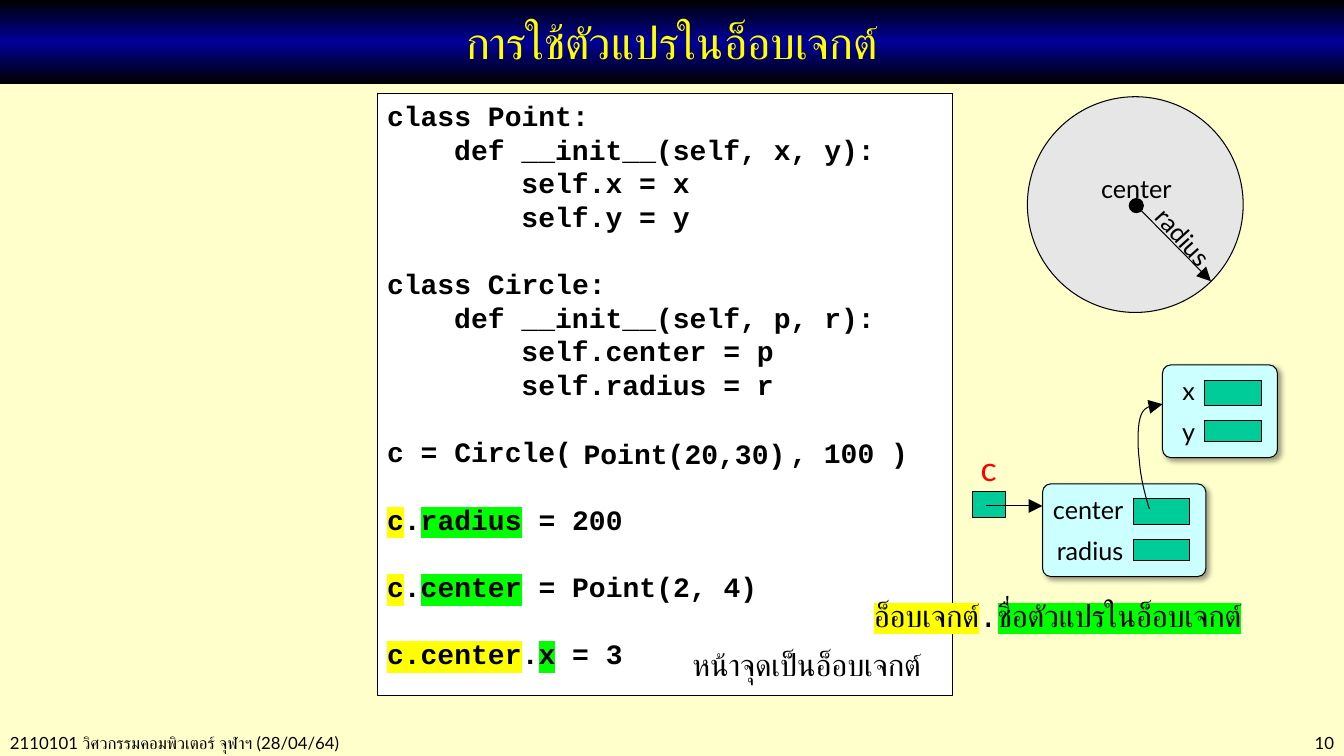
"""Build a slide on using variables inside Python objects."""
from dataclasses import dataclass
from typing import Optional

from lxml.etree import SubElement
from pptx import Presentation
from pptx.dml.color import RGBColor
from pptx.enum.shapes import MSO_CONNECTOR, MSO_SHAPE
from pptx.enum.text import MSO_ANCHOR, PP_ALIGN
from pptx.oxml import parse_xml
from pptx.oxml.ns import nsdecls, qn
from pptx.util import Inches, Pt

COLORS = {
    "page": "FFFFCC", "black": "000000", "navy": "000099", "title": "FFFF00",
    "white": "FFFFFF", "disc": "E6E6E6", "object": "CCFFFF", "slot": "00CC99",
    "red": "FF0000", "yellow": "FFFF00", "green": "00FF00",
}
SANS, MONO = "Lato", "Courier New"
LEFT, CENTER, RIGHT = PP_ALIGN.LEFT, PP_ALIGN.CENTER, PP_ALIGN.RIGHT
CODE_SIZE, CODE_PITCH, INDENT = 20, 24, 48
SNUG, ROOMY = (0.1, 0.05, 0.1, 0.05), (0.12, 0.16, 0.12, 0.12)


@dataclass
class Span:
    text: str
    size: int = 18
    font: str = SANS
    color: str = "black"
    bold: bool = False
    mark: Optional[str] = None


@dataclass
class Label:
    place: tuple
    spans: list
    align: PP_ALIGN = CENTER
    insets: tuple = SNUG
    rotation: float = 0


@dataclass
class Form:
    place: tuple
    fill: str
    kind: MSO_SHAPE = MSO_SHAPE.RECTANGLE
    raised: bool = False


@dataclass
class CodeLine:
    spans: list
    level: int = 0
    gap: bool = False


def code(text: str, mark: Optional[str] = None) -> Span:
    return Span(text, CODE_SIZE, MONO, bold=True, mark=mark)


def rgb(color: str) -> RGBColor:
    return RGBColor.from_string(COLORS[color])


def add_spans(para, spans: list) -> None:
    for span in spans:
        run = para.add_run()
        run.text = span.text
        run.font.size, run.font.bold = Pt(span.size), span.bold
        run.font.name = span.font
        run.font.color.rgb = rgb(span.color)
        if span.mark:
            fill = run.font._element.find(qn("a:solidFill"))
            fill.addnext(parse_xml(
                f'<a:highlight {nsdecls("a")}><a:srgbClr val="{COLORS[span.mark]}"/></a:highlight>'))


def add_form(page, form: Form):
    shape = page.shapes.add_shape(form.kind, *map(Inches, form.place))
    shape.shadow.inherit = False
    shape.fill.solid()
    shape.fill.fore_color.rgb = rgb(form.fill)
    shape.line.color.rgb = rgb("black")
    shape.line.width = Pt(0.75)
    if form.raised:
        shape.adjustments[0] = 0.09
        effects = shape._element.spPr.find(qn("a:effectLst"))
        shadow = SubElement(effects, qn("a:outerShdw"), blurRad=str(Pt(4)),
                            dist=str(Pt(3)), dir="2700000", algn="tl", rotWithShape="0")
        tint = SubElement(shadow, qn("a:srgbClr"), val=COLORS["black"])
        SubElement(tint, qn("a:alpha"), val="40000")
    return shape


def add_label(page, label: Label) -> None:
    box = page.shapes.add_textbox(*map(Inches, label.place))
    box.rotation = label.rotation
    frame = box.text_frame
    frame.word_wrap = True
    (frame.margin_left, frame.margin_top,
     frame.margin_right, frame.margin_bottom) = map(Inches, label.insets)
    para = frame.paragraphs[0]
    para.alignment = label.align
    add_spans(para, label.spans)


def finish_arrow(arrow) -> None:
    arrow.line.color.rgb = rgb("black")
    arrow.line.width = Pt(0.75)
    SubElement(arrow.line._get_or_add_ln(), qn("a:tailEnd"), type="triangle", w="lg", len="lg")


def add_arrow(page, start: tuple, end: tuple) -> None:
    arrow = page.shapes.add_connector(MSO_CONNECTOR.STRAIGHT, *map(Inches, start + end))
    finish_arrow(arrow)
    SubElement(arrow._element.spPr, qn("a:effectLst"))


def add_curve(page, start: tuple, bends: list, steps: int = 8) -> None:
    points = [start]
    for first, second, end in bends:
        origin = points[-1]
        for step in range(1, steps + 1):
            t = step / steps
            points.append(tuple(
                (1 - t) ** 3 * a + 3 * (1 - t) ** 2 * t * b + 3 * (1 - t) * t ** 2 * c + t ** 3 * d
                for a, b, c, d in zip(origin, first, second, end)))
    pen = page.shapes.build_freeform(*map(Inches, start), scale=1.0)
    pen.add_line_segments([tuple(map(Inches, point)) for point in points[1:]], close=False)
    curve = pen.convert_to_shape()
    curve.shadow.inherit = False
    curve.fill.background()
    finish_arrow(curve)


def add_title(page, text: str) -> None:
    banner = add_form(page, Form((0, 0, 13.33, 0.83), "navy"))
    banner.line.fill.background()
    stops = "".join(f'<a:gs pos="{position}"><a:srgbClr val="{COLORS[color]}"/></a:gs>'
                    for position, color in ((0, "black"), (50000, "navy"), (100000, "black")))
    solid = banner._element.spPr.find(qn("a:solidFill"))
    solid.getparent().replace(solid, parse_xml(
        f'<a:gradFill {nsdecls("a")}><a:gsLst>{stops}</a:gsLst><a:lin ang="5400000" scaled="0"/></a:gradFill>'))
    banner.text_frame.vertical_anchor = MSO_ANCHOR.MIDDLE
    para = banner.text_frame.paragraphs[0]
    para.alignment = CENTER
    add_spans(para, [Span(text, 32, color="title")])


def add_code(page, lines: list) -> None:
    frame = add_form(page, Form((3.74, 0.93, 5.71, 5.97), "white")).text_frame
    frame.word_wrap = False
    frame.vertical_anchor = MSO_ANCHOR.TOP
    for index, line in enumerate(lines):
        para = frame.add_paragraph() if index else frame.paragraphs[0]
        para.alignment = LEFT
        para.line_spacing = Pt(CODE_PITCH)
        para.space_before = Pt(CODE_PITCH if line.gap else 0)
        properties = para._p.get_or_add_pPr()
        properties.set("marL", str(Pt(INDENT * line.level)))
        properties.set("indent", "0")
        add_spans(para, line.spans)


def add_object(page, body: tuple, slot_left: float, names: list) -> None:
    left, top, width, height = body
    add_form(page, Form(body, "object", MSO_SHAPE.ROUNDED_RECTANGLE, raised=True))
    for row, (name, slot_height) in enumerate(zip(names, (0.25, 0.21))):
        add_form(page, Form((slot_left, top + 0.15 + 0.4 * row, 0.56, slot_height), "slot"))
        add_label(page, Label((left - 0.09, top + 0.05 + 0.41 * row, slot_left - left + 0.09, 0.41),
                              [Span(name)], RIGHT))


def class_code(name: str, arguments: str, fields: list, gap: bool) -> list:
    return [CodeLine([code(f"class {name}:")], gap=gap),
            CodeLine([code(f"def __init__(self, {arguments}):")], 1),
            *(CodeLine([code(f"self.{field} = {value}")], 2) for field, value in fields)]


def assignment(owner: str, field: str, value: str) -> CodeLine:
    return CodeLine([code(owner, "yellow"), code("."), code(field, "green"), code(f" = {value}")], gap=True)


deck = Presentation()
deck.slide_width, deck.slide_height = Inches(13.33), Inches(7.5)
page = deck.slides.add_slide(deck.slide_layouts[6])
page.background.fill.solid()
page.background.fill.fore_color.rgb = rgb("page")

add_label(page, Label((0, 7.22, 5.2, 0.3), [Span("2110101 วิศวกรรมคอมพิวเตอร์ จุฬาฯ (28/04/64)", 12)], LEFT))
add_label(page, Label((11.5, 7.22, 1.83, 0.3), [Span("10", 12)], RIGHT))
add_title(page, "การใช้ตัวแปรในอ็อบเจกต์")
add_code(page, [
    *class_code("Point", "x, y", [("x", "x"), ("y", "y")], False),
    *class_code("Circle", "p, r", [("center", "p"), ("radius", "r")], True),
    CodeLine([code("c = Circle(")], gap=True),
    assignment("c", "radius", "200"),
    assignment("c", "center", "Point(2, 4)"),
    assignment("c.center", "x", "3"),
])
add_label(page, Label((5.69, 4.28, 2.3, 0.4), [code("Point(20,30)")], LEFT))
add_label(page, Label((7.74, 4.27, 1.6, 0.4), [code(", 100 )")], LEFT))

add_form(page, Form((10.19, 0.96, 2.14, 2.14), "disc", MSO_SHAPE.OVAL))
add_form(page, Form((11.2, 1.97, 0.14, 0.14), "black", MSO_SHAPE.OVAL))
add_arrow(page, (11.32, 2.09), (12.01, 2.79))
add_label(page, Label((10.75, 1.56, 1.04, 0.5), [Span("center")], insets=ROOMY))
add_label(page, Label((11.26, 2.06, 1.04, 0.5), [Span("radius")], insets=ROOMY, rotation=47.8))

add_object(page, (11.53, 3.62, 1.14, 0.92), 11.95, ["x", "y"])
add_object(page, (10.34, 4.8, 1.62, 0.92), 11.24, ["center", "radius"])
add_label(page, Label((9.49, 4.39, 0.63, 0.51), [Span("c", 24, color="red")]))
add_form(page, Form((9.65, 4.88, 0.32, 0.25), "slot"))
add_arrow(page, (9.78, 5.02), (10.34, 5.02))
add_curve(page, (11.4, 5.05), [
    ((11.35, 4.89), (11.31, 4.72), (11.3, 4.57)),
    ((11.28, 4.41), (11.28, 4.2), (11.32, 4.11)),
    ((11.36, 4.02), (11.45, 4.02), (11.53, 4.01)),
])

add_label(page, Label((6.5, 6.25, 3, 0.65), [Span("หน้าจุดเป็นอ็อบเจกต์", 22)], insets=ROOMY))
add_label(page, Label((8.31, 5.76, 4.36, 0.65), [
    Span("อ็อบเจกต์", 22, mark="yellow"), Span(".", 22, MONO),
    Span("ชื่อตัวแปรในอ็อบเจกต์", 22, mark="green")], insets=ROOMY))
deck.save("out.pptx")
